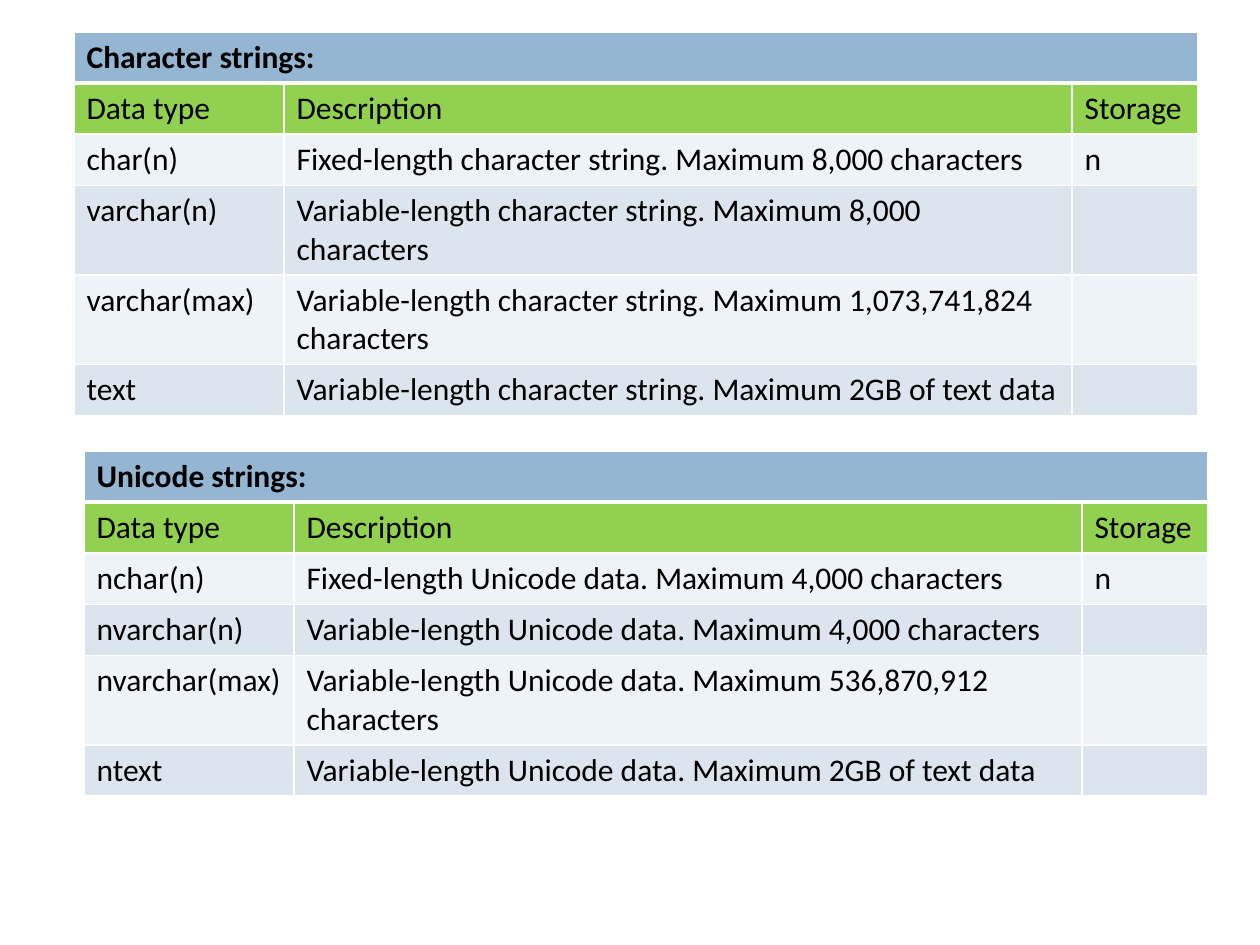
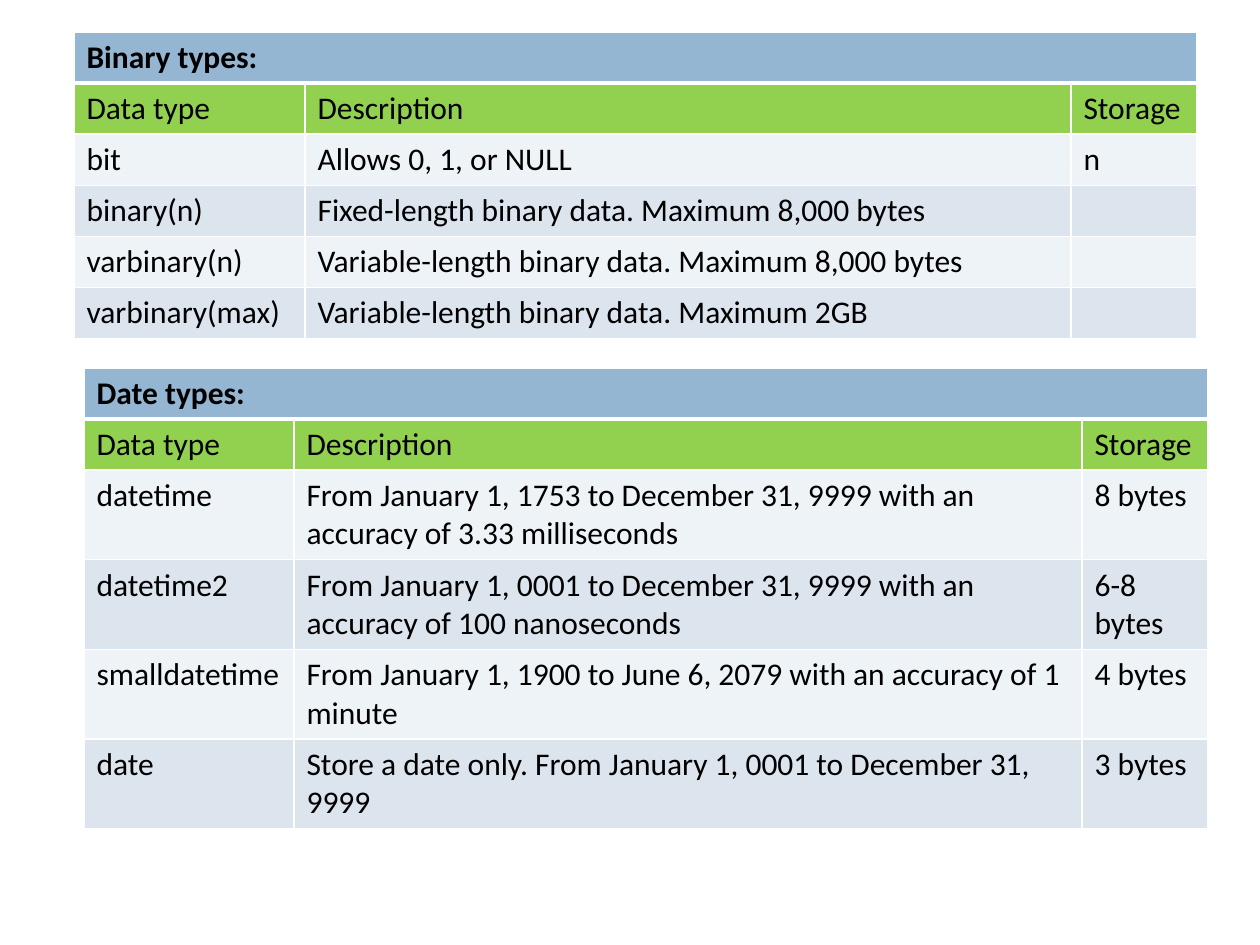
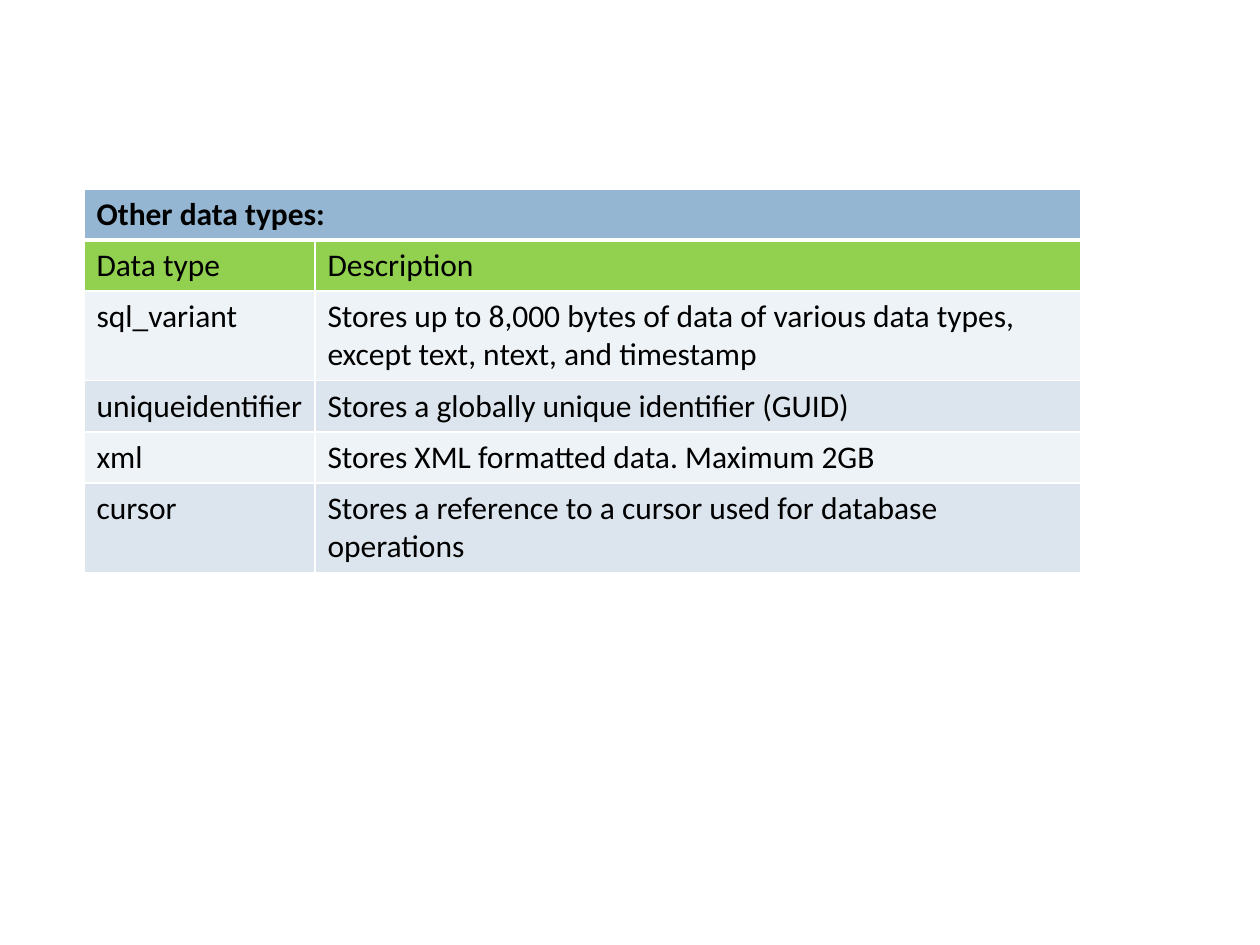
import pptx
import pptx.dml.color
import pptx.oxml
import pptx.oxml.ns
import pptx.util

PX = 914400 / 126
ROW_HEIGHT = 51
THIN, THICK = 1, 3
NAME, WIDE_NAME = 210, 231
TEXT, NARROW_TEXT = 788, 766
STORAGE = 126
LEFT, INDENTED_LEFT = 74, 84

BLACK = pptx.dml.color.RGBColor(0x00, 0x00, 0x00)
WHITE = pptx.dml.color.RGBColor(0xFF, 0xFF, 0xFF)
TITLE_BLUE = pptx.dml.color.RGBColor(0x94, 0xB6, 0xD2)
HEADING_GREEN = pptx.dml.color.RGBColor(0x92, 0xD0, 0x50)
BANDS = (
    pptx.dml.color.RGBColor(0xEE, 0xF3, 0xF7),
    pptx.dml.color.RGBColor(0xDC, 0xE5, 0xEE),
)
CELL_FONT = {"name": "Calibri", "size": pptx.util.Pt(18)}
HEADINGS = ("Data type", "Description", "Storage")

CHARACTER_STRINGS = (
    ("char(n)", "Fixed-length character string. Maximum 8,000 characters", "n"),
    ("varchar(n)", "Variable-length character string. Maximum 8,000 characters", ""),
    ("varchar(max)", "Variable-length character string. Maximum 1,073,741,824 characters", ""),
    ("text", "Variable-length character string. Maximum 2GB of text data", ""),
)
UNICODE_STRINGS = (
    ("nchar(n)", "Fixed-length Unicode data. Maximum 4,000 characters", "n"),
    ("nvarchar(n)", "Variable-length Unicode data. Maximum 4,000 characters", ""),
    ("nvarchar(max)", "Variable-length Unicode data. Maximum 536,870,912 characters", ""),
    ("ntext", "Variable-length Unicode data. Maximum 2GB of text data", ""),
)
BINARY_TYPES = (
    ("bit", "Allows 0, 1, or NULL", "n"),
    ("binary(n)", "Fixed-length binary data. Maximum 8,000 bytes", ""),
    ("varbinary(n)", "Variable-length binary data. Maximum 8,000 bytes", ""),
    ("varbinary(max)", "Variable-length binary data. Maximum 2GB", ""),
)
DATE_TYPES = (
    ("datetime", "From January 1, 1753 to December 31, 9999 with an accuracy of 3.33 milliseconds", "8 bytes"),
    ("datetime2", "From January 1, 0001 to December 31, 9999 with an accuracy of 100 nanoseconds", "6-8 bytes"),
    ("smalldatetime", "From January 1, 1900 to June 6, 2079 with an accuracy of 1 minute", "4 bytes"),
    ("date", "Store a date only. From January 1, 0001 to December 31, 9999", "3 bytes"),
)
OTHER_TYPES = (
    ("sql_variant", "Stores up to 8,000 bytes of data of various data types, except text, ntext, and timestamp"),
    ("uniqueidentifier", "Stores a globally unique identifier (GUID)"),
    ("xml", "Stores XML formatted data. Maximum 2GB"),
    ("cursor", "Stores a reference to a cursor used for database operations"),
)

# Each slide lists its tables as title, left, top, column widths, rows.
SLIDES = (
    (
        ("Character strings:", LEFT, 32, (NAME, TEXT, STORAGE), CHARACTER_STRINGS),
        ("Unicode strings:", INDENTED_LEFT, 451, (NAME, TEXT, STORAGE), UNICODE_STRINGS),
    ),
    (
        ("Binary types:", LEFT, 32, (WIDE_NAME, NARROW_TEXT, STORAGE), BINARY_TYPES),
        ("Date types:", INDENTED_LEFT, 368, (NAME, TEXT, STORAGE), DATE_TYPES),
    ),
    (
        ("Other data types:", INDENTED_LEFT, 189, (WIDE_NAME, NARROW_TEXT), OTHER_TYPES),
    ),
)


def px(length):
    return pptx.util.Emu(round(length * PX))


def set_borders(cell, top, bottom):
    """Draw white cell borders; top and bottom widths are in points."""
    properties = cell._tc.get_or_add_tcPr()
    for side, width in (("L", THIN), ("R", THIN), ("T", top), ("B", bottom)):
        properties.append(pptx.oxml.parse_xml(
            f'<a:ln{side} {pptx.oxml.ns.nsdecls("a")} w="{pptx.util.Pt(width)}">'
            f'<a:solidFill><a:srgbClr val="{WHITE}"/></a:solidFill></a:ln{side}>'
        ))


def row_fill(row_index):
    if row_index < 2:
        return (TITLE_BLUE, HEADING_GREEN)[row_index]
    return BANDS[row_index % 2]


def format_cell(cell, row_index, text):
    set_borders(
        cell,
        top=THICK if row_index == 1 else THIN,
        bottom=THICK if row_index == 0 else THIN,
    )
    cell.fill.solid()
    cell.fill.fore_color.rgb = row_fill(row_index)
    para = cell.text_frame.paragraphs[0]
    if text:
        para.add_run().text = text
    for font in [para.font] + [span.font for span in para.runs]:
        for attribute, value in CELL_FONT.items():
            setattr(font, attribute, value)
        font.bold = row_index == 0
        font.color.rgb = BLACK


def add_type_table(page, title, left, top, widths, types):
    """Add a table with a merged title row, a heading row and banded types."""
    count = len(widths)
    rows = [(title,) + ("",) * (count - 1), HEADINGS[:count], *types]
    frame = page.shapes.add_table(
        len(rows), count, px(left), px(top), px(sum(widths)), px(ROW_HEIGHT * len(rows))
    )
    table = frame.table
    for column, width in zip(table.columns, widths):
        column.width = px(width)
    for row_index, texts in enumerate(rows):
        table.rows[row_index].height = px(ROW_HEIGHT)
        for column_index, text in enumerate(texts):
            format_cell(table.cell(row_index, column_index), row_index, text)
    table.cell(0, 0).merge(table.cell(0, count - 1))


def main():
    deck = pptx.Presentation()
    deck.slide_width, deck.slide_height = px(1260), px(945)
    blank_layout = deck.slide_layouts[6]
    for tables in SLIDES:
        page = deck.slides.add_slide(blank_layout)
        for table in tables:
            add_type_table(page, *table)
    deck.save("out.pptx")


if __name__ == "__main__":
    main()
